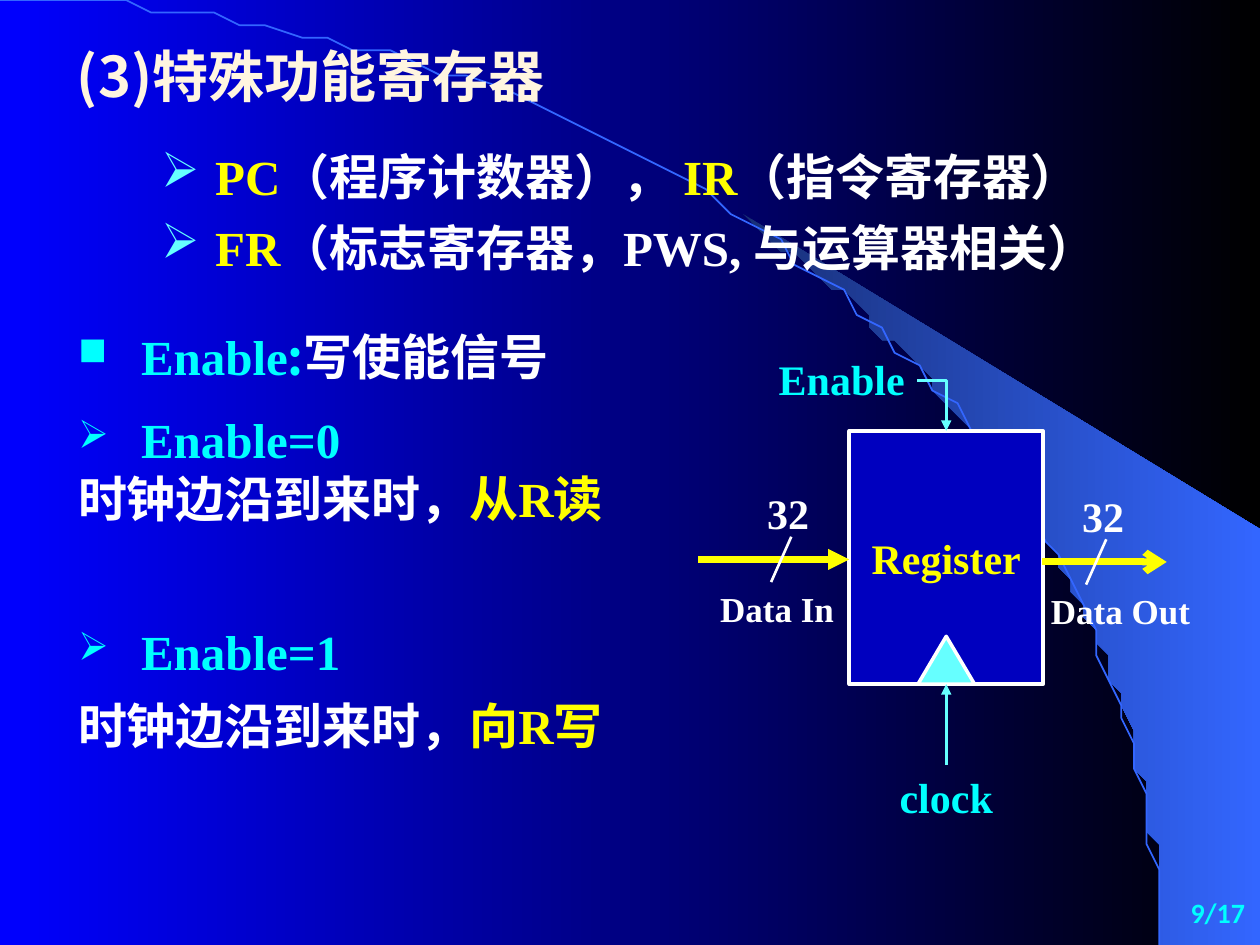
from math import asin, cos, pi, sin

from lxml import etree
from pptx import Presentation
from pptx.dml.color import RGBColor
from pptx.enum.shapes import MSO_CONNECTOR, MSO_SHAPE
from pptx.enum.text import MSO_ANCHOR, MSO_AUTO_SIZE, PP_ALIGN
from pptx.oxml.ns import qn
from pptx.util import Inches, Pt

STRAIGHT, ELBOW = MSO_CONNECTOR.STRAIGHT, MSO_CONNECTOR.ELBOW
LEFT, CENTER, RIGHT = PP_ALIGN.LEFT, PP_ALIGN.CENTER, PP_ALIGN.RIGHT
TOP, MIDDLE = MSO_ANCHOR.TOP, MSO_ANCHOR.MIDDLE

BLUE = RGBColor(0x00, 0x00, 0xFF)
BLACK = RGBColor(0x00, 0x00, 0x00)
DARK_BLUE = RGBColor(0x18, 0x2F, 0x76)
ARC_BLUE = RGBColor(0x33, 0x66, 0xFF)
BOX_BLUE = RGBColor(0x00, 0x00, 0xBF)
WHITE = RGBColor(0xFF, 0xFF, 0xFF)
CREAM = RGBColor(0xFF, 0xF5, 0xE0)
YELLOW = RGBColor(0xFF, 0xFF, 0x00)
CYAN = RGBColor(0x00, 0xFF, 0xFF)
PALE_CYAN = RGBColor(0x66, 0xFF, 0xFF)
SERIF, CHINESE, SANS = "Times New Roman", "Noto Sans CJK SC", "Calibri"

# The grid has 100 columns and 75 rows of the same size
presentation = Presentation()
presentation.slide_width, presentation.slide_height = Inches(10), Inches(7.5)
UNIT = presentation.slide_width // 100
slide = presentation.slides.add_slide(presentation.slide_layouts[5])
shapes = slide.shapes


def write_text(runs, at=None, shape=None, size=24, color=WHITE, font=SERIF, align=LEFT,
               anchor=TOP, margin=1.1, bullet=None, bullet_color=CYAN, bullet_size=80,
               indent=(0, 0), spacing=None):
    """Add one paragraph to a shape, or to a new text box; a run is (text, color[, font])."""
    if shape is None:
        shape = shapes.add_textbox(*[int(UNIT * value) for value in at])
    frame = shape.text_frame
    frame.word_wrap, frame.auto_size = True, MSO_AUTO_SIZE.NONE
    frame.vertical_anchor = anchor
    frame.margin_left = frame.margin_right = int(UNIT * margin)
    frame.margin_top = frame.margin_bottom = int(UNIT * 0.5)
    paragraph = frame.paragraphs[0] if not frame.text else frame.add_paragraph()
    paragraph.alignment = align
    if spacing:
        paragraph.line_spacing = spacing
    if bullet:
        properties = paragraph._p.get_or_add_pPr()
        properties.set("marL", str(int(UNIT * indent[0])))
        properties.set("indent", str(int(UNIT * indent[1])))
        bullet_fill = etree.SubElement(properties, qn("a:buClr"))
        etree.SubElement(bullet_fill, qn("a:srgbClr"), val=str(bullet_color))
        etree.SubElement(properties, qn("a:buSzPct"), val=str(bullet_size * 1000))
        etree.SubElement(properties, qn("a:buChar"), char=bullet)
    for text, *style in ([(runs,)] if isinstance(runs, str) else runs):
        run = paragraph.add_run()
        run.text = text
        run.font.size, run.font.bold = Pt(size), True
        run.font.color.rgb = style[0] if style else color
        run.font.name = style[1] if len(style) > 1 else font
        etree.SubElement(run._r.get_or_add_rPr(), qn("a:ea"), typeface=CHINESE)
    return shape


def draw_line(start, end, color, width, head=None, kind=STRAIGHT):
    connector = shapes.add_connector(kind, *[int(UNIT * value) for value in (*start, *end)])
    connector.line.color.rgb, connector.line.width = color, Pt(width)
    properties = connector._element.spPr
    if kind == ELBOW:
        properties.find(qn("a:prstGeom")).set("prst", "bentConnector2")
    if head:
        etree.SubElement(properties.find(qn("a:ln")), qn("a:tailEnd"), type=head)
    etree.SubElement(properties, qn("a:effectLst"))


# Backdrop: a quarter ellipse and the lit area outside its lower part
ARC_WIDTH, ARC_HEIGHT, STEPS = 92, 74.9, 60
LIT_START = asin(58.9 / ARC_WIDTH)
arc, lit_edge = [
    [(ARC_WIDTH * sin(angle), ARC_HEIGHT * (1 - cos(angle)))
     for angle in (first + (pi / 2 - first) * step / STEPS for step in range(STEPS + 1))]
    for first in (0, LIT_START)
]
lit_area = lit_edge + [(99.9, 74.9), (99.9, 42.3)]
backdrop = []
for points, closed in ((lit_area, True), (arc, False)):
    builder = shapes.build_freeform(*points[0], scale=UNIT)
    builder.add_line_segments(points[1:], close=closed)
    outline = builder.convert_to_shape()
    outline.shadow.inherit = False
    backdrop.append(outline)
lit_shape, arc_shape = backdrop
lit_shape.line.fill.background()
arc_shape.fill.background()
arc_shape.line.color.rgb, arc_shape.line.width = ARC_BLUE, Pt(1)
for fill, colors in ((slide.background.fill, (BLUE, BLACK)),
                     (lit_shape.fill, (DARK_BLUE, ARC_BLUE))):
    fill.gradient()
    fill.gradient_angle = 0
    for stop, color in zip(fill.gradient_stops, colors):
        stop.color.rgb = color

# Title, in front of the backdrop
title = shapes.title
shapes._spTree.append(title._element)
title.left, title.top, title.width, title.height = [
    int(UNIT * value) for value in (5.1, 2.8, 51.2, 6.4)]
write_text("(3)特殊功能寄存器", shape=title, size=32, color=CREAM, font=CHINESE, margin=1)

# Special registers
register_list = None
for runs in (
    [("PC", YELLOW), ("（程序计数器）， ",), ("IR", YELLOW), ("（指令寄存器）",)],
    [("FR", YELLOW), ("（标志寄存器，PWS, 与运算器相关）",)],
):
    register_list = write_text(runs, at=(7.9, 10.2, 84.6, 12.2), shape=register_list, size=28,
                               margin=1, bullet="➢", bullet_color=PALE_CYAN, bullet_size=100,
                               indent=(8.2, -4.3), spacing=1.2)

# Write enable signal and its two values
write_text([("Enable", CYAN), (":", CYAN, CHINESE), ("写使能信号", WHITE)],
           at=(5.1, 25.4, 42.5, 5.8), size=28, bullet="■", indent=(5, -5))
for value, action, top, height, spacing in ((0, "从R读", 32, 10.4, 1),
                                            (1, "向R写", 47.7, 12.8, 1.25)):
    case = write_text(f"Enable={value}", at=(5.1, top, 49.6, height), size=28, color=CYAN,
                      bullet="➢", indent=(5, -5), spacing=spacing)
    write_text([("时钟边沿到来时，", WHITE, CHINESE), (action, YELLOW)], shape=case,
               size=28, spacing=spacing)

# Register with its clock mark
AXIS = 75.1
BOX_TOP, BOX_HEIGHT = 34.2, 20.1
BOX_BOTTOM = BOX_TOP + BOX_HEIGHT
parts = []
for kind, width, height, color in ((MSO_SHAPE.RECTANGLE, 15.4, BOX_HEIGHT, BOX_BLUE),
                                   (MSO_SHAPE.FLOWCHART_EXTRACT, 4.5, 3.8, PALE_CYAN)):
    part = shapes.add_shape(kind, *[int(UNIT * value) for value in (
        AXIS - width / 2, BOX_BOTTOM - height, width, height)])
    part.shadow.inherit = False
    part.fill.solid()
    part.fill.fore_color.rgb = color
    part.line.color.rgb, part.line.width = WHITE, Pt(2)
    parts.append(part)
write_text("Register", shape=parts[0], color=YELLOW, align=CENTER, anchor=MIDDLE, margin=1)

# Data buses, 32 bits wide
for label, left, width, align, start, end, row, head, bits_left in (
    ("Data In", 54.7, 12.6, RIGHT, 55.4, 67.4, 44.4, "triangle", 58.5),
    ("Data Out", 82.3, 14.9, LEFT, 82.7, 92.6, 44.6, "arrow", 83.5),
):
    write_text(label, at=(left, row + 1.7, width, 4.4), size=20, align=align)
    draw_line((start, row), (end, row), YELLOW, 4, head)
    draw_line((bits_left + 4.3, row - 1.8), (bits_left + 2.7, row + 1.8), WHITE, 1.5)
    write_text("32", at=(bits_left, row - 6.2, 8.1, 5.1), align=CENTER)

# Enable and clock inputs
write_text("Enable", at=(58.7, 27.6, 14.2, 5.1), color=CYAN, align=RIGHT)
draw_line((72.8, 30.2), (AXIS, BOX_TOP), PALE_CYAN, 1.5, "triangle", ELBOW)
write_text("clock", at=(68, 60.7, 14.2, 5.1), color=CYAN, align=CENTER)
draw_line((AXIS, 60.7), (AXIS, BOX_BOTTOM), PALE_CYAN, 1.5, "triangle")

# Page number
write_text("9/17", at=(79, 70.6, 20.8, 4.2), size=16, color=CYAN, font=SANS, align=RIGHT,
           margin=1)

presentation.save("out.pptx")
